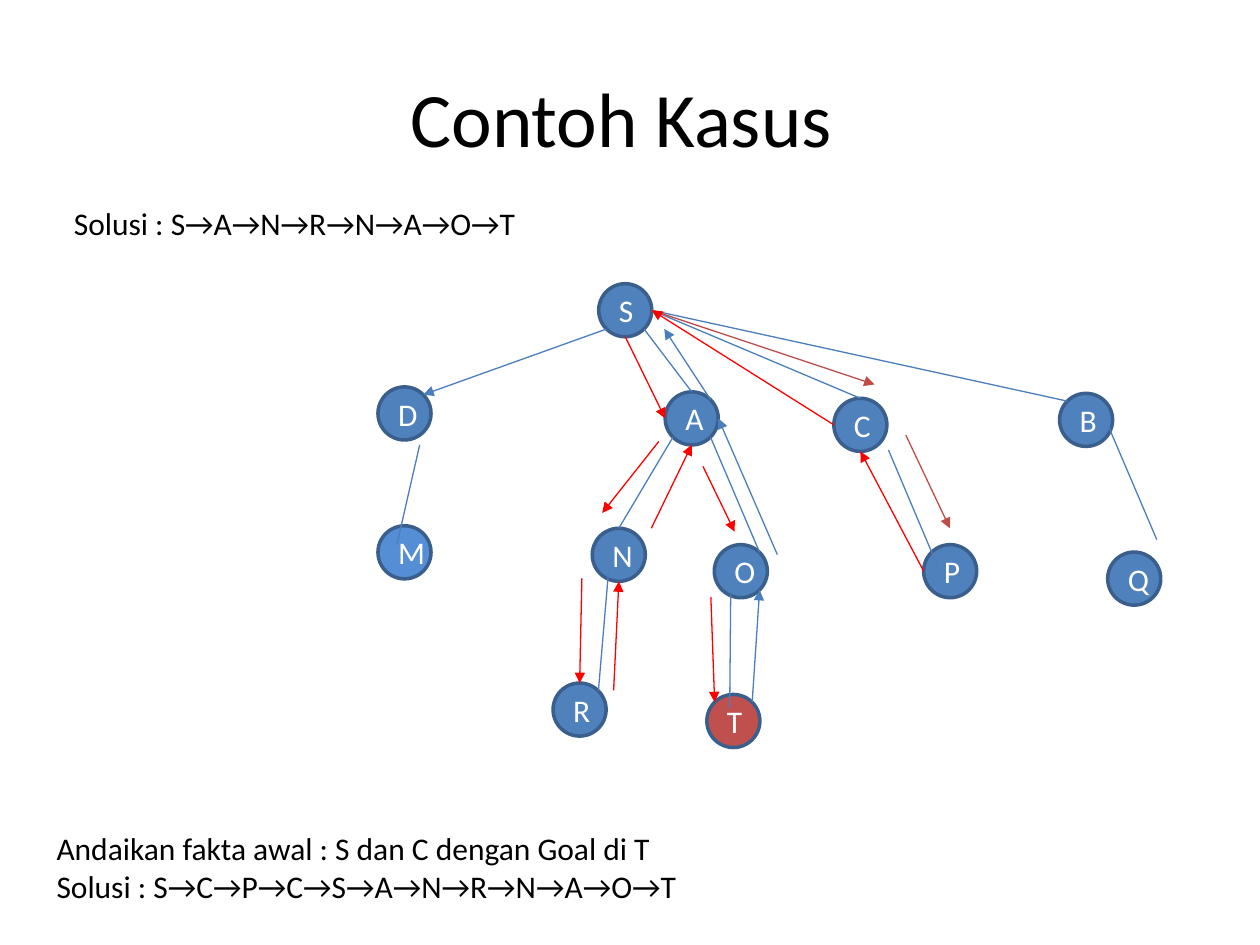
from math import sqrt

from lxml.etree import SubElement
from pptx import Presentation
from pptx.dml.color import RGBColor
from pptx.enum.shapes import MSO_CONNECTOR, MSO_SHAPE
from pptx.enum.text import MSO_ANCHOR, MSO_AUTO_SIZE, PP_ALIGN
from pptx.oxml.ns import qn
from pptx.util import Cm, Pt

FONT = "Calibri"
BLACK = RGBColor(0x00, 0x00, 0x00)
WHITE = RGBColor(0xFF, 0xFF, 0xFF)
NODE_BLUE = RGBColor(0x4F, 0x81, 0xBD)
LIGHT_BLUE = RGBColor(0x55, 0x8E, 0xD5)
GOAL_RED = RGBColor(0xC0, 0x50, 0x4D)
OUTLINE = RGBColor(0x3A, 0x5F, 0x8C)
EDGE_BLUE = RGBColor(0x4B, 0x7E, 0xBC)
ROUTE_RED = RGBColor(0xFF, 0x00, 0x00)
DETOUR_RED = RGBColor(0xBF, 0x4C, 0x48)

# Boxes in cm: left, top, width, height
TITLE_BOX = (1.27, 0.76, 22.86, 3.18)
SOLUTION_BOX = (1.24, 3.99, 15.57, 1.02)
TREE_ORIGIN = (7.62, 5.72)
CASE_BOX = (0.89, 16.59, 15.57, 1.8)

# Tree nodes: left and top in cm from the tree origin
DIAMETER = 1.07
NODES = {
    "S": (4.45, 0), "D": (0, 2.08), "N": (4.32, 4.93), "A": (5.79, 2.18),
    "O": (6.78, 5.26), "M": (0, 4.88), "C": (9.19, 2.31), "T": (6.63, 8.28),
    "R": (3.53, 8.05), "Q": (14.71, 5.41), "P": (11, 5.26), "B": (13.74, 2.21),
}
NODE_FILLS = {"M": LIGHT_BLUE, "T": GOAL_RED}

# Directions from a node's centre to the points where lines meet its rim
DIAGONAL = sqrt(0.5)
RIM = {
    "top": (0, -1), "bottom": (0, 1), "left": (-1, 0), "right": (1, 0),
    "top left": (-DIAGONAL, -DIAGONAL), "top right": (DIAGONAL, -DIAGONAL),
    "bottom left": (-DIAGONAL, DIAGONAL), "bottom right": (DIAGONAL, DIAGONAL),
}

# Line ends are a node with a rim point, or a free point in cm
BRANCHES = [
    (("S", "bottom right"), ("A", "top")),
    (("S", "right"), ("C", "top")),
    (("S", "right"), ("B", "top left")),
    (("A", "bottom left"), ("N", "top")),
    (("A", "bottom right"), ("O", "top right")),
    ((14.71, 2.84), (15.7, 5.16)),
    ((10.29, 3.35), (11.28, 5.69)),
    ((0.84, 3.25), (0.38, 5.26)),
    ((7.11, 6.27), (7.09, 8.56)),
    ((4.65, 5.77), ("R", "top right")),
]
SEARCH_ROUTE = [
    (("S", "bottom"), ("A", "left")),
    ((5.66, 3.18), (4.52, 4.62)),
    ((4.11, 5.94), ("R", "top")),
    ((4.75, 8.2), ("N", "bottom")),
    ((5.51, 4.93), ("A", "bottom")),
    ((6.55, 3.68), (7.19, 5)),
    ((6.71, 6.32), ("T", "top left")),
]
BLUE_ARROWS = [
    (("S", "bottom left"), ("D", "top right")),
    (("T", "top right"), ("O", "bottom right")),
    ((8.05, 5.46), ("A", "right")),
    (("A", "top right"), (5.77, 0.91)),
]
DETOUR_OUT = [
    (("S", "right"), (10.01, 2.03)),
    ((10.64, 3.05), (11.53, 4.93)),
]
DETOUR_BACK = [
    (("P", "left"), ("C", "bottom")),
    (("C", "left"), ("S", "right")),
]


def add_run(paragraph, text, size, color):
    run = paragraph.add_run()
    run.text = text
    run.font.name = FONT
    run.font.size = Pt(size)
    run.font.color.rgb = color


def add_title(slide, box, text):
    title = slide.shapes.title
    title.left, title.top, title.width, title.height = map(Cm, box)
    title.text_frame.vertical_anchor = MSO_ANCHOR.MIDDLE
    heading = title.text_frame.paragraphs[0]
    heading.alignment = PP_ALIGN.CENTER
    add_run(heading, text, 44, BLACK)


def add_note(slide, box, lines):
    frame = slide.shapes.add_textbox(*map(Cm, box)).text_frame
    frame.word_wrap = True
    frame.auto_size = MSO_AUTO_SIZE.SHAPE_TO_FIT_TEXT
    for index, line in enumerate(lines):
        paragraph = frame.add_paragraph() if index else frame.paragraphs[0]
        add_run(paragraph, line, 18, BLACK)


def add_node(slide, origin, letter):
    left, top = (start + offset for start, offset in zip(origin, NODES[letter]))
    node = slide.shapes.add_shape(
        MSO_SHAPE.OVAL, Cm(left), Cm(top), Cm(DIAMETER), Cm(DIAMETER))
    node.shadow.inherit = False
    node.fill.solid()
    node.fill.fore_color.rgb = NODE_FILLS.get(letter, NODE_BLUE)
    node.line.color.rgb = OUTLINE
    node.line.width = Pt(2)
    node.text_frame.vertical_anchor = MSO_ANCHOR.MIDDLE
    label = node.text_frame.paragraphs[0]
    label.alignment = PP_ALIGN.CENTER
    add_run(label, letter, 18, WHITE)


def locate(origin, end):
    if end[0] in NODES:
        letter, side = end
        end = [corner + DIAMETER / 2 * (1 + step)
               for corner, step in zip(NODES[letter], RIM[side])]
    return [Cm(start + offset) for start, offset in zip(origin, end)]


def add_edges(slide, origin, edges, color, arrow=True):
    for start, end in edges:
        edge = slide.shapes.add_connector(
            MSO_CONNECTOR.STRAIGHT, *locate(origin, start), *locate(origin, end))
        edge.line.color.rgb = color
        edge.line.width = Pt(0.75)
        properties = edge.line._get_or_add_ln().getparent()
        if arrow:
            SubElement(properties.find(qn("a:ln")), qn("a:tailEnd"), type="triangle")
        SubElement(properties, qn("a:effectLst"))


def add_search_tree(slide, origin):
    for letter in NODES:
        add_node(slide, origin, letter)
    add_edges(slide, origin, BRANCHES, EDGE_BLUE, arrow=False)
    add_edges(slide, origin, SEARCH_ROUTE, ROUTE_RED)
    add_edges(slide, origin, BLUE_ARROWS, EDGE_BLUE)
    add_edges(slide, origin, DETOUR_OUT, DETOUR_RED)
    add_edges(slide, origin, DETOUR_BACK, ROUTE_RED)


def main():
    deck = Presentation()
    deck.slide_width, deck.slide_height = Cm(25.4), Cm(19.05)
    slide = deck.slides.add_slide(deck.slide_layouts.get_by_name("Title Only"))

    # Heading and first solution
    add_title(slide, TITLE_BOX, "Contoh Kasus ")
    add_note(slide, SOLUTION_BOX, ["Solusi : S→A→N→R→N→A→O→T"])

    # Search tree with its routes
    add_search_tree(slide, TREE_ORIGIN)

    # Second case with its solution
    add_note(slide, CASE_BOX, [
        "Andaikan fakta awal : S dan C dengan Goal di T",
        "Solusi : S→C→P→C→S→A→N→R→N→A→O→T",
    ])
    deck.save("out.pptx")


if __name__ == "__main__":
    main()
